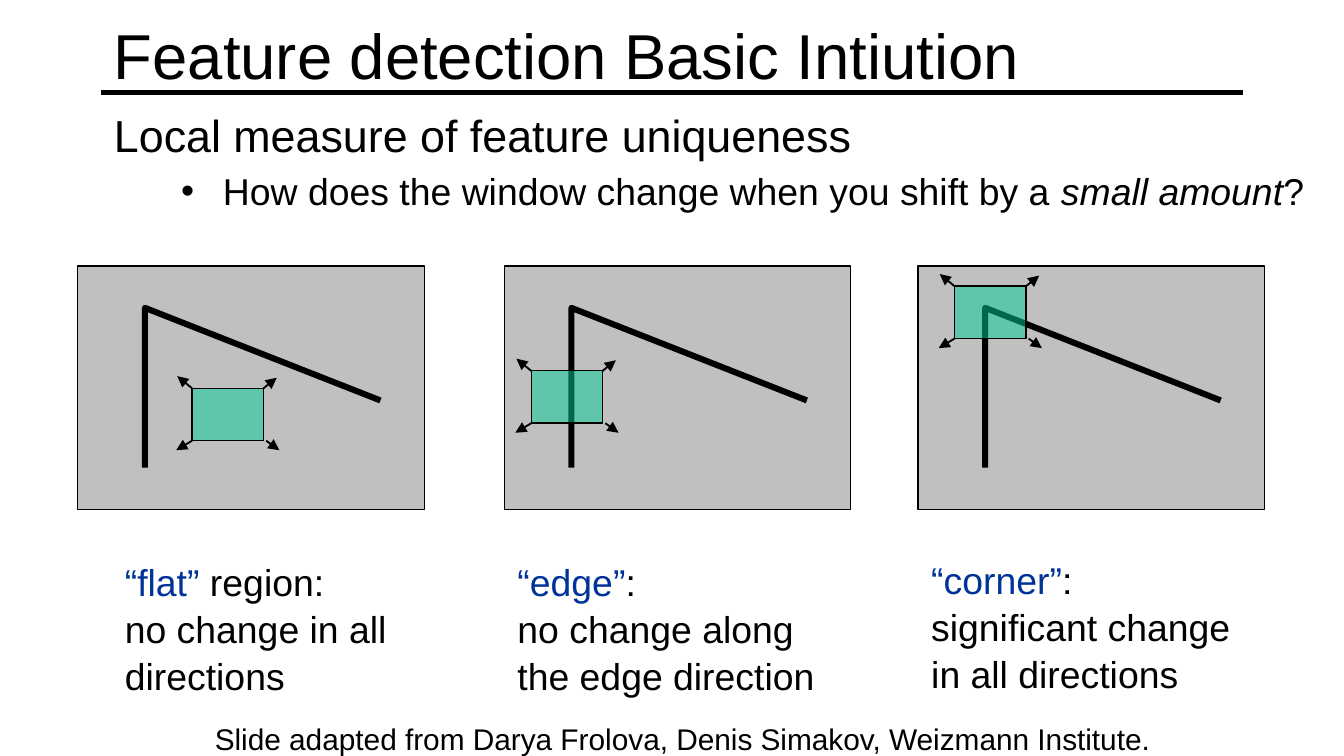
from lxml import etree
from pptx import Presentation
from pptx.dml.color import RGBColor
from pptx.enum.shapes import MSO_CONNECTOR, MSO_SHAPE
from pptx.enum.text import MSO_ANCHOR, MSO_AUTO_SIZE, PP_ALIGN
from pptx.oxml.ns import qn
from pptx.util import Cm, Pt

RECT = MSO_SHAPE.RECTANGLE
STRAIGHT = MSO_CONNECTOR.STRAIGHT
LEFT, TOP, MIDDLE = PP_ALIGN.LEFT, MSO_ANCHOR.TOP, MSO_ANCHOR.MIDDLE
BLACK = RGBColor(0x00, 0x00, 0x00)
GREY = RGBColor(0xC0, 0xC0, 0xC0)
GREEN = RGBColor(0x00, 0xCC, 0x99)
BLUE = RGBColor(0x00, 0x33, 0x99)
FONT = "Arial"

# Content
TITLE = "Feature detection Basic Intiution"
HEADING = "Local measure of feature uniqueness"
QUESTION = [("How does the window change when you shift by a", False),
            (" small amount", True), ("?", False)]
CREDIT = "Slide adapted from Darya Frolova, Denis Simakov, Weizmann Institute."

# Lengths in cm; window is the offset inside the panel, caption is left, top, width
CASES = [
    {"term": "“flat”", "rest": " region:", "text": "no change in all directions",
     "left": 1.47, "window": (2.16, 2.31), "caption": (2.11, 10.41, 5.72)},
    {"term": "“edge”", "rest": ":", "text": "no change along the edge direction",
     "left": 9.53, "window": (0.51, 1.98), "caption": (9.53, 10.41, 6.78)},
    {"term": "“corner”", "rest": ":", "text": "significant change in all directions",
     "left": 17.35, "window": (0.69, 0.38), "caption": (17.35, 10.36, 6.78)},
]
PANEL_TOP, PANEL_W, PANEL_H = 5.03, 6.55, 4.6
WINDOW_W, WINDOW_H = 1.35, 0.99
WEDGE = [(1.27, 3.81), (1.27, 0.79), (5.72, 2.54)]
ARROWS = [  # start and end, from the window's top left corner
    ((WINDOW_W, 0), (WINDOW_W + 0.25, -0.2)),
    ((WINDOW_W + 0.05, WINDOW_H), (WINDOW_W + 0.3, WINDOW_H + 0.18)),
    ((0, WINDOW_H), (-0.3, WINDOW_H + 0.18)),
    ((0, 0), (-0.28, -0.23)),
]


def place(sp, left, top, width, height):
    sp.left, sp.top, sp.width, sp.height = Cm(left), Cm(top), Cm(width), Cm(height)


def style_font(item, size, color=BLACK):
    item.font.name, item.font.size = FONT, Pt(size)
    item.font.color.rgb = color


def set_indent(p, margin, hanging, bullet=None):
    pPr = p._p.get_or_add_pPr()
    pPr.set("marL", str(Cm(margin)))
    pPr.set("indent", str(-Cm(hanging)))
    if bullet:
        etree.SubElement(pPr, qn("a:buChar")).set("char", bullet)
    else:
        etree.SubElement(pPr, qn("a:buNone"))


def add_line(start, end, width, arrow=False):
    line = s.shapes.add_connector(STRAIGHT, *[Cm(v) for v in (*start, *end)])
    line.line.color.rgb, line.line.width = BLACK, Pt(width)
    if arrow:
        etree.SubElement(line.line._get_or_add_ln(), qn("a:tailEnd")).set("type", "triangle")
    etree.SubElement(line._element.spPr, qn("a:effectLst"))


def add_box(left, top, width, height, color):
    sp = s.shapes.add_shape(RECT, Cm(left), Cm(top), Cm(width), Cm(height))
    sp.shadow.inherit = False
    sp.fill.solid()
    sp.fill.fore_color.rgb = color
    sp.line.color.rgb, sp.line.width = BLACK, Pt(0.75)
    return sp


def add_text(left, top, width, height):
    tf = s.shapes.add_textbox(Cm(left), Cm(top), Cm(width), Cm(height)).text_frame
    tf.word_wrap = True
    return tf


prs = Presentation()
prs.slide_width, prs.slide_height = Cm(25.4), Cm(14.29)
s = prs.slides.add_slide(prs.slide_layouts[1])

# Title and rule
title = s.shapes.title
place(title, 1.9, 0.15, 21.6, 1.75)
title.text_frame.text = TITLE
title.text_frame.auto_size = MSO_AUTO_SIZE.NONE
title.text_frame.vertical_anchor = MIDDLE
p = title.text_frame.paragraphs[0]
p.alignment = LEFT
style_font(p, 34)
add_line((1.9, 1.75), (23.5, 1.75), 3)

# Heading and question
body = s.placeholders[1]
place(body, 1.9, 1.9, 23.5, 1.9)
tf = body.text_frame
tf.auto_size, tf.vertical_anchor = MSO_AUTO_SIZE.NONE, TOP
p = tf.paragraphs[0]
p.text = HEADING
p.space_before = Pt(0)
set_indent(p, 0.95, 0.95)
style_font(p, 24)
p = tf.add_paragraph()
p.level, p.space_before = 1, Pt(4)
set_indent(p, 2.06, 0.79, "•")
style_font(p, 20)
for text, italic in QUESTION:
    r = p.add_run()
    r.text = text
    style_font(r, 20)
    r.font.italic = italic

# Panels with wedge, shifting window and caption
for case in CASES:
    left = case["left"]
    add_box(left, PANEL_TOP, PANEL_W, PANEL_H, GREY)

    points = [(Cm(left + x), Cm(PANEL_TOP + y)) for x, y in WEDGE]
    builder = s.shapes.build_freeform(*points[0])
    builder.add_line_segments(points[1:], close=False)
    wedge = builder.convert_to_shape()
    wedge.shadow.inherit = False
    wedge.fill.background()
    wedge.line.color.rgb, wedge.line.width = BLACK, Pt(3.25)

    x, y = left + case["window"][0], PANEL_TOP + case["window"][1]
    window = add_box(x, y, WINDOW_W, WINDOW_H, GREEN)
    color = window._element.spPr.find(qn("a:solidFill"))[0]
    etree.SubElement(color, qn("a:alpha")).set("val", "50000")
    for (x1, y1), (x2, y2) in ARROWS:
        add_line((x + x1, y + y1), (x + x2, y + y2), 1, arrow=True)

    tf = add_text(*case["caption"], 2.11)
    p = tf.paragraphs[0]
    for text, color in ((case["term"], BLUE), (case["rest"], BLACK)):
        r = p.add_run()
        r.text = text
        style_font(r, 20, color)
    p = tf.add_paragraph()
    p.text = case["text"]
    style_font(p, 20)
    for p in tf.paragraphs:
        p.line_spacing = 1.05

# Credit
p = add_text(3.81, 13.49, 20.75, 0.64).paragraphs[0]
p.text = CREDIT
set_indent(p, 0.95, 0.95)
style_font(p, 16)

prs.save("out.pptx")
